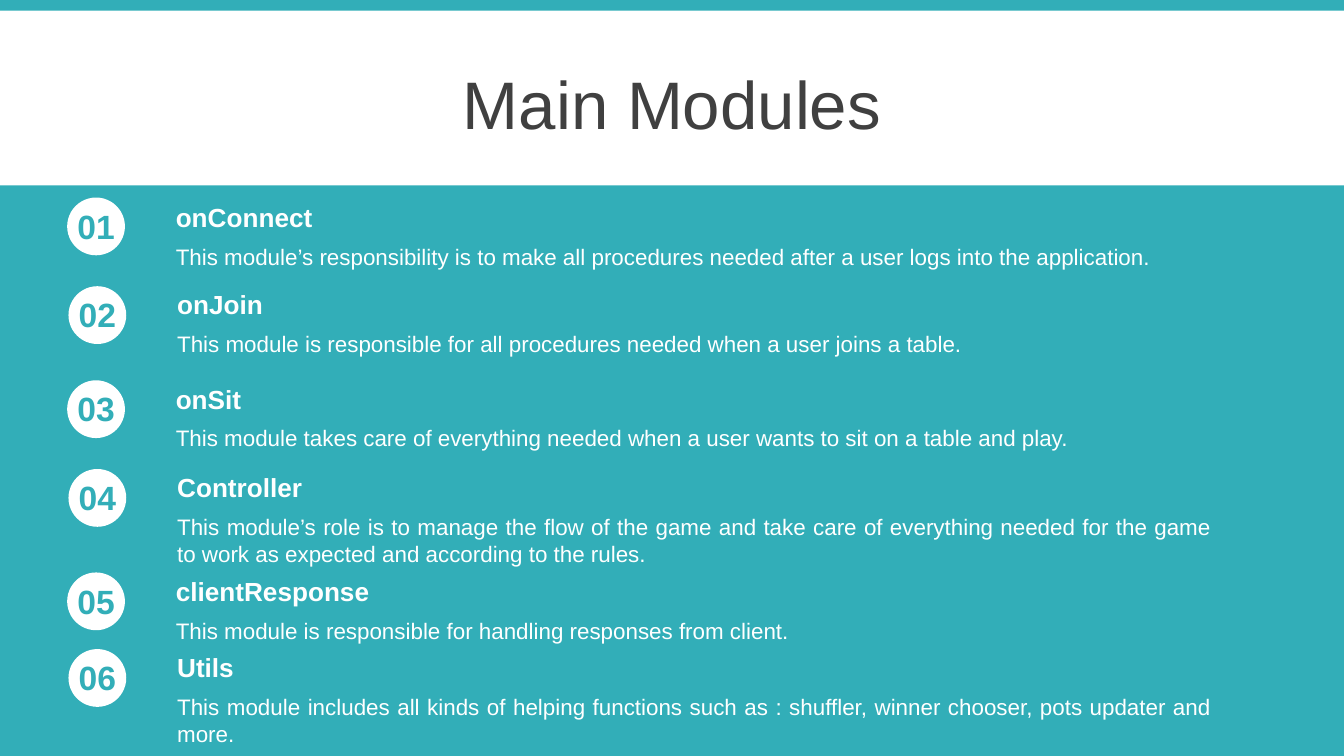
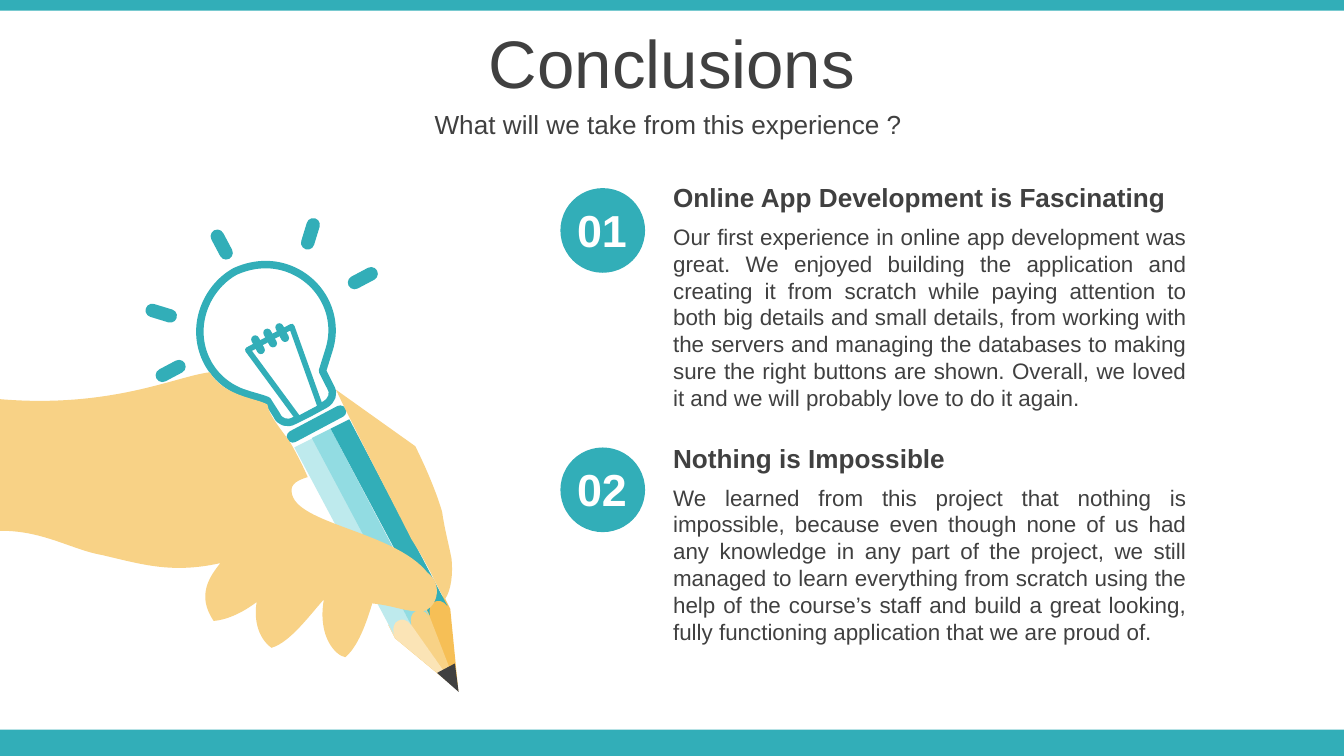
from lxml import etree
from pptx import Presentation
from pptx.dml.color import RGBColor
from pptx.enum.shapes import MSO_SHAPE
from pptx.enum.text import MSO_ANCHOR, MSO_AUTO_SIZE, PP_ALIGN
from pptx.oxml.ns import qn
from pptx.util import Pt

PX = 9144
FONT = "Arial"
TILT = 332
COLORS = {
    "teal": "32AEB8",
    "mid_teal": "92DCE2",
    "pale_teal": "BEEAED",
    "dark": "404040",
    "white": "FFFFFF",
    "wood": "F6BF56",
    "skin": "F8D286",
    "pale_wood": "FBE4B6",
}
RECT = MSO_SHAPE.RECTANGLE
OVAL = MSO_SHAPE.OVAL
PILL = MSO_SHAPE.ROUNDED_RECTANGLE
TRIANGLE = MSO_SHAPE.ISOSCELES_TRIANGLE
TRAPEZOID = MSO_SHAPE.TRAPEZOID
LEFT, CENTER, JUSTIFY = PP_ALIGN.LEFT, PP_ALIGN.CENTER, PP_ALIGN.JUSTIFY
MIDDLE, TOP = MSO_ANCHOR.MIDDLE, MSO_ANCHOR.TOP
GROW, FIXED = MSO_AUTO_SIZE.SHAPE_TO_FIT_TEXT, MSO_AUTO_SIZE.NONE


def paint(shape, color, rotation=0, outline=0):
    shape.shadow.inherit = False
    shape.rotation = rotation
    shape.fill.solid()
    shape.fill.fore_color.rgb = RGBColor.from_string(COLORS[color])
    if outline:
        shape.line.color.rgb = RGBColor.from_string(COLORS["teal"])
        shape.line.width = Pt(outline)
    else:
        shape.line.fill.background()


def write(holder, box, text, size, color, align=LEFT, bold=False, anchor=TOP):
    holder.left, holder.top, holder.width, holder.height = [v * PX for v in box]
    frame = holder.text_frame
    frame.word_wrap = True
    frame.auto_size = GROW if anchor == TOP else FIXED
    frame.vertical_anchor = anchor
    paragraph = frame.paragraphs[0]
    paragraph.alignment = align
    run = paragraph.add_run()
    run.text = text
    run.font.name = FONT
    run.font.size = Pt(size)
    run.font.bold = bold
    run.font.color.rgb = RGBColor.from_string(COLORS[color])


prs = Presentation()
prs.slide_width = 1000 * PX
prs.slide_height = prs.slide_width * 9 // 16
title_only = prs.slide_layouts[5]

slides = []
for title, title_top in [("Main Modules", 45), ("Conclusions", 14)]:
    slide = prs.slides.add_slide(title_only)
    write(slide.shapes.title, (0, title_top, 1000, 63), title, 36, "dark", CENTER, anchor=MIDDLE)
    slides.append(slide)
modules_slide, conclusions_slide = slides

for band_id, band_top, band_height in [(101, 0, 8), (102, 543, 20)]:
    band = modules_slide.shapes.add_shape(RECT, 0, band_top * PX, 1000 * PX, band_height * PX)
    paint(band, "teal")
    band.element.nvSpPr.cNvPr.set("id", str(band_id))
    title_only.shapes.element.insert(2, band.element)

panel = modules_slide.shapes.add_shape(RECT, 0, 138 * PX, 1000 * PX, 411 * PX)
paint(panel, "teal")

modules = [
    (147, 145, 30, "onConnect",
     "This module’s responsibility is to make all procedures needed after a user logs into the application. "),
    (213, 210, 30, "onJoin",
     "This module is responsible for all procedures needed when a user joins a table."),
    (283, 280, 30, "onSit",
     "This module takes care of everything needed when a user wants to sit on a table and play."),
    (349, 346, 50, "Controller",
     "This module’s role is to manage the flow of the game and take care of everything needed "
     "for the game to work as expected and according to the rules."),
    (426, 423, 30, "clientResponse",
     "This module is responsible for handling responses from client."),
    (483, 480, 50, "Utils",
     "This module includes all kinds of helping functions such as : shuffler, winner chooser, "
     "pots updater and more. "),
]
conclusions = [
    (140, 130, 151, "Online App Development is Fascinating",
     "Our first experience in online app development was great. We enjoyed building the "
     "application and creating it from scratch while paying attention to both big details and "
     "small details, from working with the servers and managing the databases to making sure the "
     "right buttons are shown. Overall, we loved it and we will probably love to do it again. "),
    (333, 324, 131, "Nothing is Impossible",
     "We learned from this project that nothing is impossible, because even though none of us had "
     "any knowledge in any part of the project, we still managed to learn everything from scratch "
     "using the help of the course’s staff and build a great looking, fully functioning "
     "application that we are proud of."),
]

write(conclusions_slide.shapes.add_textbox(0, 0, 0, 0), (0, 77, 1000, 31),
      "What will we take from this experience ? ", 14, "dark", CENTER, anchor=MIDDLE)

strip = [(219, 333), (233, 326), (306, 465), (303, 461, 299, 460, 296, 462),
         (293, 463, 292, 468, 293, 472)]
pencil_parts = [
    ("wood", [[(289, 465), (330, 443), (335, 453), (341, 514), (294, 475)]]),
    ("skin", [[(302, 457), (316, 450), (319, 457), (341, 514), (307, 467)]]),
    ("pale_wood", [[(289, 465), (302, 458), (304, 460, 305, 462, 306, 465),
                    (340, 513), (294, 475)]]),
]
for step, strip_color in enumerate(["pale_teal", "mid_teal", "teal"]):
    shift = (27 * step // 2, -7 * step)
    moved = [tuple(v + shift[i % 2] for i, v in enumerate(node)) for node in strip]
    pencil_parts.append((strip_color, [moved]))

bulb = [
    (175, 202), (186, 197, 199, 195, 212, 199), (238, 207, 253, 234, 245, 260),
    (240, 276), (246, 288), (249, 293, 247, 298, 242, 301), (231, 307), (219, 313),
    (214, 316, 208, 314, 206, 309), (199, 298), (194, 296, 189, 295, 183, 293),
    (157, 285, 143, 258, 151, 232), (155, 219, 164, 208, 175, 202),
]
fingertip = [
    (250, 290), (309, 332), (317, 348, 325, 367, 329, 381), (331, 395, 334, 405, 336, 416),
    (337, 426, 336, 439, 331, 446), (326, 439, 322, 426, 306, 401),
    (293, 375, 264, 320, 250, 290),
]
palm = [
    (156, 277), (167, 295, 190, 296, 199, 301), (200, 310, 213, 324, 217, 331),
    (222, 340, 225, 346, 229, 355), (222, 357, 216, 360, 217, 366),
    (219, 390, 293, 395, 318, 426), (331, 436, 324, 454, 314, 455),
    (300, 455, 295, 451, 277, 449), (271, 469, 265, 482, 257, 489),
    (250, 488, 236, 474, 241, 446), (231, 457, 216, 478, 202, 482),
    (191, 474, 189, 459, 191, 448), (183, 454, 171, 461, 159, 462),
    (146, 443, 156, 429, 164, 419), (128, 427, 106, 420, 76, 413),
    (53, 409, 31, 394, -2, 395), (0, 297), (83, 304, 131, 280, 156, 277),
]
filament = (TRAPEZOID, 197, 248, 37, 63, 152, "white", 3)
lead = (TRIANGLE, 329, 496, 15, 20, 152, "dark", 0)
rays = [(PILL, x, y, 10, 24, turn, "teal", 0) for x, y, turn in
        [(226, 162, 17), (115, 221, 287), (160, 170, TILT), (265, 195, 62), (122, 264, 242)]]
collar = (PILL, 211, 311, 49, 9, TILT, "teal", 0)
coils = [(PILL, x, y, 6, 15, TILT, "teal", 0) for x, y in [(189, 249), (198, 244), (207, 240)]]

drawing_order = [
    (pencil_parts, 0, [lead]),
    ([("white", [bulb])], 4, [filament, *rays, collar, *coils]),
    ([("skin", [fingertip, palm])], 0, []),
]
for outlines, outline_width, presets in drawing_order:
    for color, contours in outlines:
        builder = None
        for contour in contours:
            start, *points = [(node[i] * PX, node[i + 1] * PX)
                              for node in contour for i in range(0, len(node), 2)]
            if builder is None:
                builder = conclusions_slide.shapes.build_freeform(*start, scale=1.0)
            else:
                builder.move_to(*start)
            builder.add_line_segments(points, close=True)
        figure = builder.convert_to_shape()
        segments = iter(list(figure.element.iter(qn("a:lnTo"))))
        for node in [node for contour in contours for node in contour[1:]]:
            segment = next(segments)
            if len(node) == 6:
                curve = etree.Element(qn("a:cubicBezTo"))
                segment.addprevious(curve)
                for handle in (segment, next(segments), next(segments)):
                    curve.append(handle[0])
                    handle.getparent().remove(handle)
        paint(figure, color, outline=outline_width)
    for kind, x, y, width, height, turn, color, line_width in presets:
        part = conclusions_slide.shapes.add_shape(kind, x * PX, y * PX, width * PX, height * PX)
        if kind == PILL:
            part.adjustments[0] = 0.5
        paint(part, color, turn, line_width)

item_lists = [
    (modules_slide, modules, 50, 1, 43, 18, "white", "teal", "white", (-7, 1, 57, 40), 71, 790),
    (conclusions_slide, conclusions, 417, 0, 63, 24, "teal", "white", "dark",
     (-4, 6, 70, 50), 74, 402),
]
for (slide, items, left, stagger, diameter, number_size, badge_color, number_color, text_color,
     number_box, indent, text_width) in item_lists:
    for index, (badge_top, heading_top, body_height, heading, body) in enumerate(items):
        x = left + stagger * (index % 2)
        badge = slide.shapes.add_shape(OVAL, x * PX, badge_top * PX, diameter * PX, diameter * PX)
        paint(badge, badge_color)
        dx, dy, number_width, number_height = number_box
        for box, text, size, color, align, bold in [
            ((x + indent, heading_top + 31, text_width, body_height),
             body, 12, text_color, JUSTIFY, False),
            ((x + indent, heading_top, text_width, 34), heading, 14, text_color, LEFT, True),
            ((x + dx, badge_top + dy, number_width, number_height),
             f"{index + 1:02d}", number_size, number_color, CENTER, True),
        ]:
            write(slide.shapes.add_textbox(0, 0, 0, 0), box, text, size, color, align, bold)

prs.save("out.pptx")
